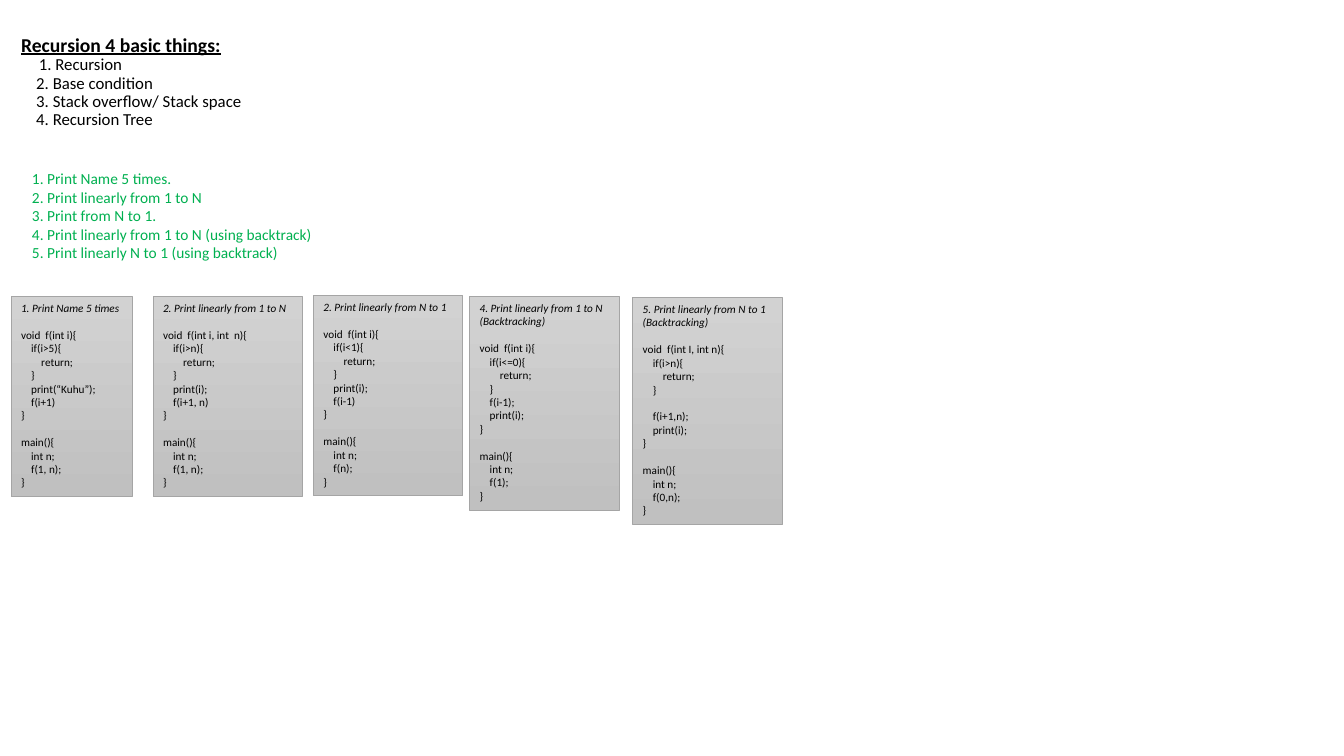
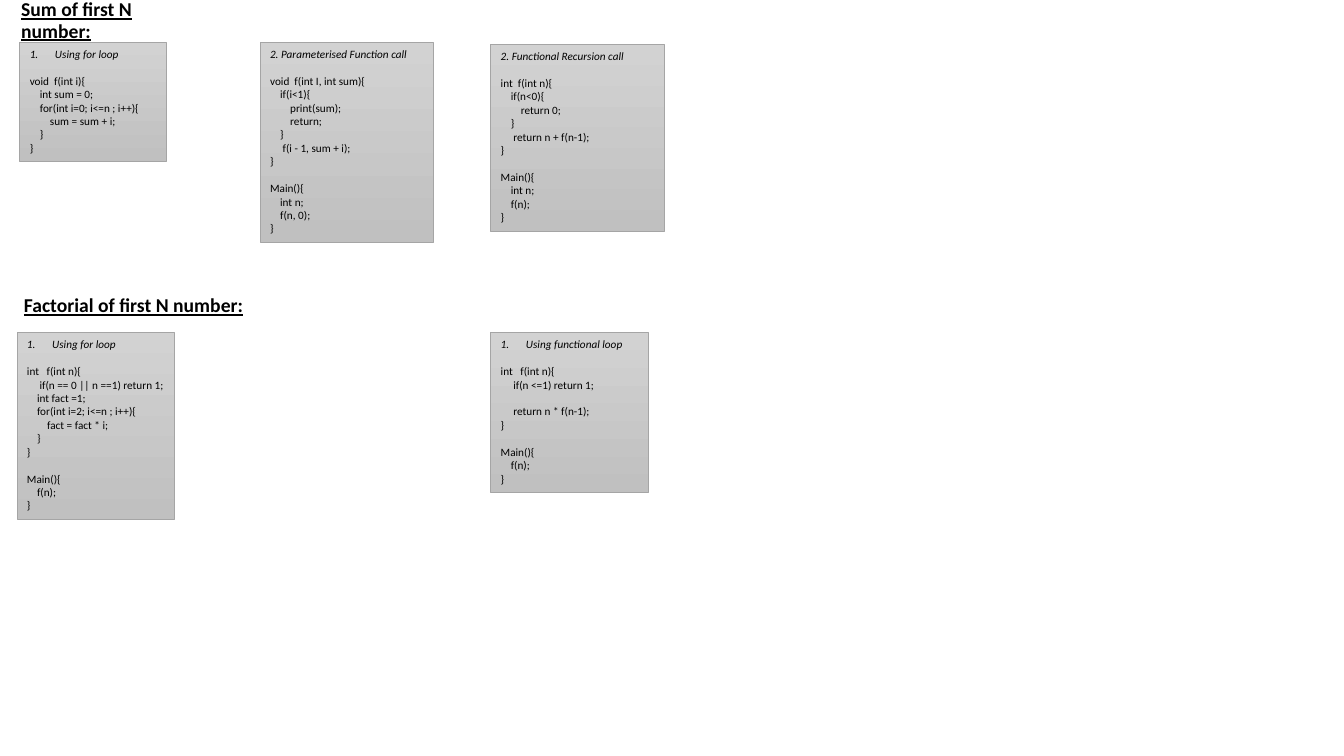
import pptx
import pptx.dml.color
import pptx.enum.shapes
import pptx.enum.text
import pptx.oxml
import pptx.oxml.ns
import pptx.util

Pt = pptx.util.Pt
Anchor = pptx.enum.text.MSO_ANCHOR

PRINT_CARDS = [
    # left, top, width, title, title lines, code
    (8, 211.7, 86.4, "1. Print Name 5 times", 1, """\
void  f(int i){
    if(i>5){
        return;
    }
    print(“Kuhu”);
    f(i+1)
}

main(){
    int n;
    f(1, n);
}"""),
    (109.4, 211.7, 106.6, "2. Print linearly from 1 to N", 1, """\
void  f(int i, int  n){
    if(i>n){
        return;
    }
    print(i);
    f(i+1, n)
}

main(){
    int n;
    f(1, n);
}"""),
    (223.9, 211, 106.6, "2. Print linearly from N to 1", 1, """\
void  f(int i){
    if(i<1){
        return;
    }
    print(i);
    f(i-1)
}

main(){
    int n;
    f(n);
}"""),
    (335.5, 211.7, 106.6, "4. Print linearly from 1 to N (Backtracking)", 2, """\
void  f(int i){
    if(i<=0){
        return;
    }
    f(i-1);
    print(i);
}

main(){
    int n;
    f(1);
}"""),
    (452, 212.4, 106.6, "5. Print linearly from N to 1 (Backtracking)", 2, """\
void  f(int I, int n){
    if(i>n){
        return;
    }

    f(i+1,n);
    print(i);
}

main(){
    int n;
    f(0,n);
}"""),
]

PLAIN_CARDS = [
    (185.8, 30.2, 123.8, "2. Parameterised Function call", 1, """\
void  f(int I, int sum){
    if(i<1){
        print(sum);
        return;
    }
     f(i - 1, sum + i);
}

Main(){
    int n;
    f(n, 0);
}"""),
    (350.6, 31.7, 123.8, "2. Functional Recursion call", 1, """\
int  f(int n){
    if(n<0){
        return 0;
    }
     return n + f(n-1);
}

Main(){
    int n;
    f(n);
}"""),
]

NUMBERED_CARDS = [
    (14.2, 30.2, 104.6, "Using for loop", 1, """\
void  f(int i){
    int sum = 0;
    for(int i=0; i<=n ; i++){
        sum = sum + i;
    }
}"""),
    (12.2, 237.6, 112.3, "Using for loop", 1, """\
int   f(int n){
     if(n == 0 || n ==1) return 1;
    int fact =1;
    for(int i=2; i<=n ; i++){
        fact = fact * i;
    }
}

Main(){
    f(n);
}"""),
    (350.6, 237.6, 112.3, "Using functional loop", 1, """\
int   f(int n){
     if(n <=1) return 1;

     return n * f(n-1);
}

Main(){
    f(n);
}"""),
]


def rgb(hex_string):
    return pptx.dml.color.RGBColor.from_string(hex_string)


class Deck:
    FONT = "Calibri"
    BLACK, GREEN, BORDER = "000000", "00B050", "A5A5A5"
    GRADIENT = ("D2D2D2", "C0C0C0")
    HEADING = {"size": Pt(14), "bold": True, "underline": True}
    CODE_SIZE, LINE, SPACE = 8, 9.7, 1.8

    def __init__(self):
        self.prs = pptx.Presentation()
        self.prs.slide_width, self.prs.slide_height = Pt(960), Pt(540)
        self.s = None

    def slide(self):
        self.s = self.prs.slides.add_slide(self.prs.slide_layouts[6])

    def paragraph(self, tf, text, color=BLACK, **font):
        """Fill the empty first paragraph of tf, or append a new one."""
        p = tf.paragraphs[0] if not tf.text else tf.add_paragraph()
        p.alignment = pptx.enum.text.PP_ALIGN.LEFT
        r = p.add_run()
        r.text = text
        for name, value in {"name": self.FONT, **font}.items():
            setattr(r.font, name, value)
        r.font.color.rgb = rgb(color)
        return p

    def indent(self, p, left, first=0):
        pPr = p._p.get_or_add_pPr()
        pPr.set("marL", str(Pt(left)))
        pPr.set("indent", str(Pt(first)))
        return pPr

    def text_box(self, x, y, w, h, anchor=Anchor.TOP):
        tf = self.s.shapes.add_textbox(Pt(x), Pt(y), Pt(w), Pt(h)).text_frame
        tf.word_wrap, tf.vertical_anchor = True, anchor
        return tf

    def heading(self, x, y, w, h, text, topics=()):
        tf = self.text_box(x, y, w, h, Anchor.MIDDLE)
        self.paragraph(tf, text, **self.HEADING).line_spacing = 0.9
        for i, topic in enumerate(topics):
            p = self.paragraph(tf, topic, size=Pt(12))
            p.line_spacing = 0.9
            self.indent(p, 10.8 if i else 12.7)

    def green_list(self, x, y, w, h, items):
        tf = self.text_box(x, y, w, h)
        for item in items:
            self.paragraph(tf, item, self.GREEN, size=Pt(11))

    def card(self, x, y, w, title, title_lines, code, numbered=False):
        """Grey box with an italic title above code; its height follows the line count."""
        lines = code.splitlines()
        h = (title_lines + 1 + len(lines)) * self.LINE + 7.2
        sp = self.s.shapes.add_shape(
            pptx.enum.shapes.MSO_SHAPE.RECTANGLE, Pt(x), Pt(y), Pt(w), Pt(h))
        sp.shadow.inherit = False
        sp.fill.gradient()
        sp.fill.gradient_angle = 270
        for stop, color in zip(sp.fill.gradient_stops, self.GRADIENT):
            stop.color.rgb = rgb(color)
        sp.line.color.rgb = rgb(self.BORDER)
        sp.line.width = Pt(0.5)
        tf = sp.text_frame
        tf.word_wrap, tf.vertical_anchor = True, Anchor.TOP

        p = self.paragraph(tf, title, size=Pt(self.CODE_SIZE), italic=True)
        if numbered:
            pPr = self.indent(p, 18, -18)
            pPr.append(pptx.oxml.parse_xml(
                '<a:buAutoNum %s type="arabicPeriod"/>' % pptx.oxml.ns.nsdecls("a")))
        gap = True
        for line in lines:
            text = line.lstrip()
            if text:
                p = self.paragraph(tf, text, size=Pt(self.CODE_SIZE))
                self.indent(p, (len(line) - len(text)) * self.SPACE)
                if gap:
                    p.space_before = Pt(9.6)
            gap = not text


def main():
    deck = Deck()

    deck.slide()
    deck.heading(8, 0, 240, 117.4, "Recursion 4 basic things:", [
        "1. Recursion",
        "2. Base condition",
        "3. Stack overflow/ Stack space",
        "4. Recursion Tree",
    ])
    deck.green_list(15.8, 117.4, 221, 75, [
        "1. Print Name 5 times.",
        "2. Print linearly from 1 to N",
        "3. Print from N to 1.",
        "4. Print linearly from 1 to N (using backtrack)",
        "5. Print linearly N to 1 (using backtrack)",
    ])
    for card in PRINT_CARDS:
        deck.card(*card)

    deck.slide()
    deck.heading(8, 0, 144, 30.2, "Sum of first N number:")
    deck.heading(10, 203.8, 183, 30.2, "Factorial of first N number:")
    for card in PLAIN_CARDS:
        deck.card(*card)
    for card in NUMBERED_CARDS:
        deck.card(*card, numbered=True)

    deck.prs.save("out.pptx")


if __name__ == "__main__":
    main()
